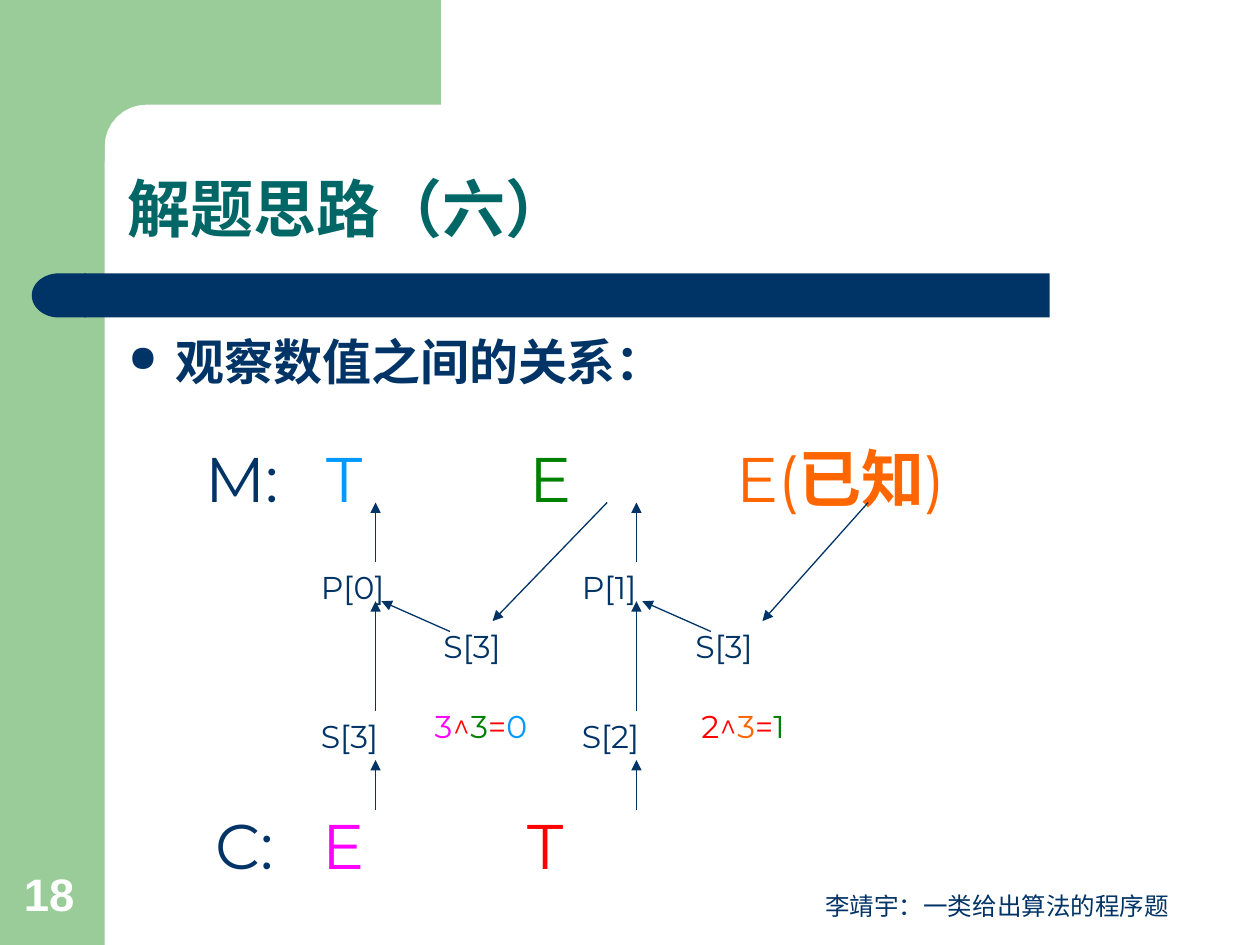
from math import cos, pi, sin

from lxml.etree import SubElement
from pptx import Presentation
from pptx.dml.color import RGBColor
from pptx.enum.shapes import MSO_CONNECTOR, MSO_SHAPE
from pptx.enum.text import MSO_ANCHOR, PP_ALIGN
from pptx.oxml.ns import qn
from pptx.util import Cm, Pt

NAVY = RGBColor(0x00, 0x33, 0x66)
TEAL = RGBColor(0x00, 0x66, 0x66)
MINT = RGBColor(0x99, 0xCC, 0x99)
WHITE = RGBColor(0xFF, 0xFF, 0xFF)
BLUE = RGBColor(0x00, 0x99, 0xFF)
GREEN = RGBColor(0x00, 0x80, 0x00)
ORANGE = RGBColor(0xFF, 0x66, 0x00)
PINK = RGBColor(0xFF, 0x00, 0xFF)
RED = RGBColor(0xFF, 0x00, 0x00)

deck = Presentation()
deck.slide_width, deck.slide_height = Cm(25.4), Cm(19.05)
slide = deck.slides.add_slide(deck.slide_layouts[5])
shapes = slide.shapes


def paint(shape, color):
    shape.shadow.inherit = False
    shape.fill.solid()
    shape.fill.fore_color.rgb = color
    shape.line.fill.background()


def block(kind, x, y, w, h, color):
    shape = shapes.add_shape(kind, Cm(x), Cm(y), Cm(w), Cm(h))
    paint(shape, color)
    return shape


def style(para, size, color, face, bold=False):
    font = para.font
    font.size, font.name, font.bold = Pt(size), face, bold
    font.color.rgb = color


def label(x, y, w, h, parts, size, color=NAVY, face="Montserrat", bold=False):
    """Add a text box; parts is a string or a list of (text, color, bold)."""
    box = shapes.add_textbox(Cm(x), Cm(y), Cm(w), Cm(h))
    box.text_frame.word_wrap = True
    para = box.text_frame.paragraphs[0]
    style(para, size, color, face, bold)
    if isinstance(parts, str):
        para.text = parts
    else:
        for text, tint, heavy in parts:
            run = para.add_run()
            run.text = text
            run.font.color.rgb = tint
            run.font.bold = heavy
    return box


def arrow(x1, y1, x2, y2):
    line = shapes.add_connector(MSO_CONNECTOR.STRAIGHT, Cm(x1), Cm(y1), Cm(x2), Cm(y2))
    line.line.color.rgb = NAVY
    line.line.width = Pt(0.74)
    SubElement(line.line._get_or_add_ln(), qn("a:tailEnd"), type="triangle")
    SubElement(line._element.spPr, qn("a:effectLst"))


def frame(x, y, w, h):
    """Side band, top band with a rounded inner corner, and title bar."""
    side, top, rad = 2.11, 2.11, 0.84
    block(MSO_SHAPE.RECTANGLE, x, y, side, h, MINT)
    bend = [(x + side + rad * (1 - sin(a)), y + top + rad * (1 - cos(a)))
            for a in (i * pi / 16 for i in range(9))]
    edge = [(x + 8.89, y), (x + 8.89, y + top), *bend,
            (x + side, y + 3.25), (x + 1.27, y + 3.25)]
    pen = shapes.build_freeform(Cm(x + 1.27), Cm(y))
    pen.add_line_segments([(Cm(a), Cm(b)) for a, b in edge])
    paint(pen.convert_to_shape(), MINT)
    block(MSO_SHAPE.RECTANGLE, x + 1.7, y + 5.51, w - 5.94, 0.89, NAVY)
    cap = block(MSO_SHAPE.FLOWCHART_DELAY, x + 0.64, y + 5.51, 1.09, 0.89, NAVY)
    cap.rotation = 180


def heading(x, y, w, h):
    title = shapes.title
    title.left, title.top, title.width, title.height = Cm(x), Cm(y), Cm(w), Cm(h)
    shapes._spTree.append(title._element)
    title.text_frame.text = "解题思路（六）"
    title.text_frame.vertical_anchor = MSO_ANCHOR.BOTTOM
    para = title.text_frame.paragraphs[0]
    para.alignment, para.line_spacing = PP_ALIGN.LEFT, 0.9
    style(para, 36, TEAL, "Arial", True)


def bullet(x, y, w, h):
    box = label(x, y, w, h, "观察数值之间的关系：", 28, face="Arial", bold=True)
    para = box.text_frame.paragraphs[0]
    para.space_before = Pt(7)
    props = para._p.get_or_add_pPr()
    props.set("marL", str(Cm(0.95)))
    props.set("indent", str(-Cm(0.95)))
    mark = [SubElement(props, qn("a:buSzPct"), val="75000"),
            SubElement(props, qn("a:buChar"), char="●")]
    # Bullet marks must precede the default run properties
    for item in mark:
        base = props.find(qn("a:defRPr"))
        if base is not None:
            base.addprevious(item)


def letters(x, y, w, h, parts, stops):
    """One row of large letters, set on tab stops."""
    box = label(x, y, w, h, parts, 36)
    props = box.text_frame.paragraphs[0]._p.get_or_add_pPr()
    tabs = SubElement(props, qn("a:tabLst"))
    for stop in stops:
        SubElement(tabs, qn("a:tab"), pos=str(Cm(stop)), algn="l")
    base = props.find(qn("a:defRPr"))
    if base is not None:
        base.addprevious(tabs)


def chain(x, y, names, total, side, reach, sum_x):
    """Steps from a cipher letter up to a plain letter."""
    stem = x + 1.35
    for low, high in ((1.2, 0), (4.2, 1.99), (6.2, 5.19)):
        arrow(stem, y + low, stem, y + high)
    arrow(x + 6.02, y, x + reach, y + 2.39)
    arrow(x + 2.85, y + 2.6, x + 1.47, y + 1.99)
    spots = ((0, 1.2), (side, 2.39), (0, 4.2))
    for name, (dx, dy) in zip(names, spots):
        label(x + dx, y + dy, 2.6, 1.02, name, 18)
    parts = [(text, tint, False) for text, tint in total]
    label(x + sum_x, y + 3.99, 3, 1.02, parts, 18)


def footer(x, y, w, h):
    page = label(x, y, 1.63, h, "18", 26, WHITE, "Arial", True)
    note = label(x + w - 8.05, y, 8.05, h, "李靖宇：一类给出算法的程序题", 14, face="Arial")
    note.text_frame.paragraphs[0].alignment = PP_ALIGN.CENTER
    for box in (page, note):
        box.text_frame.vertical_anchor = MSO_ANCHOR.BOTTOM


frame(0, 0, 25.4, 19.05)
heading(2.31, 2.31, 21.62, 2.77)
bullet(2.34, 6.55, 21.36, 1.55)

# Plain and cipher rows
letters(3.89, 8.74, 19.2, 1.78,
        [("M:\t", NAVY, False), ("T\t", BLUE, False), ("E\t", GREEN, False),
         ("E(", ORANGE, False), ("已知", ORANGE, True), (")", ORANGE, False)],
        (2.45, 6.53, 10.7))
letters(4.09, 16.13, 20.5, 1.78,
        [("C:\t", NAVY, False), ("E\t", PINK, False), ("T", RED, False)],
        (2.17, 6.3))

# Links between the rows
chain(6.22, 10.13, ("P[0]", "S[3]", "S[3]"),
      [("3", PINK), ("^", RED), ("3", GREEN), ("=", RED), ("0", BLUE)],
      2.47, 3.71, 2.29)
chain(11.48, 10.13, ("P[1]", "S[3]", "S[2]"),
      [("2^", RED), ("3", ORANGE), ("=", RED), ("1", GREEN)],
      2.29, 3.89, 2.41)

footer(0.23, 17.35, 23.9, 1.33)
deck.save("out.pptx")
